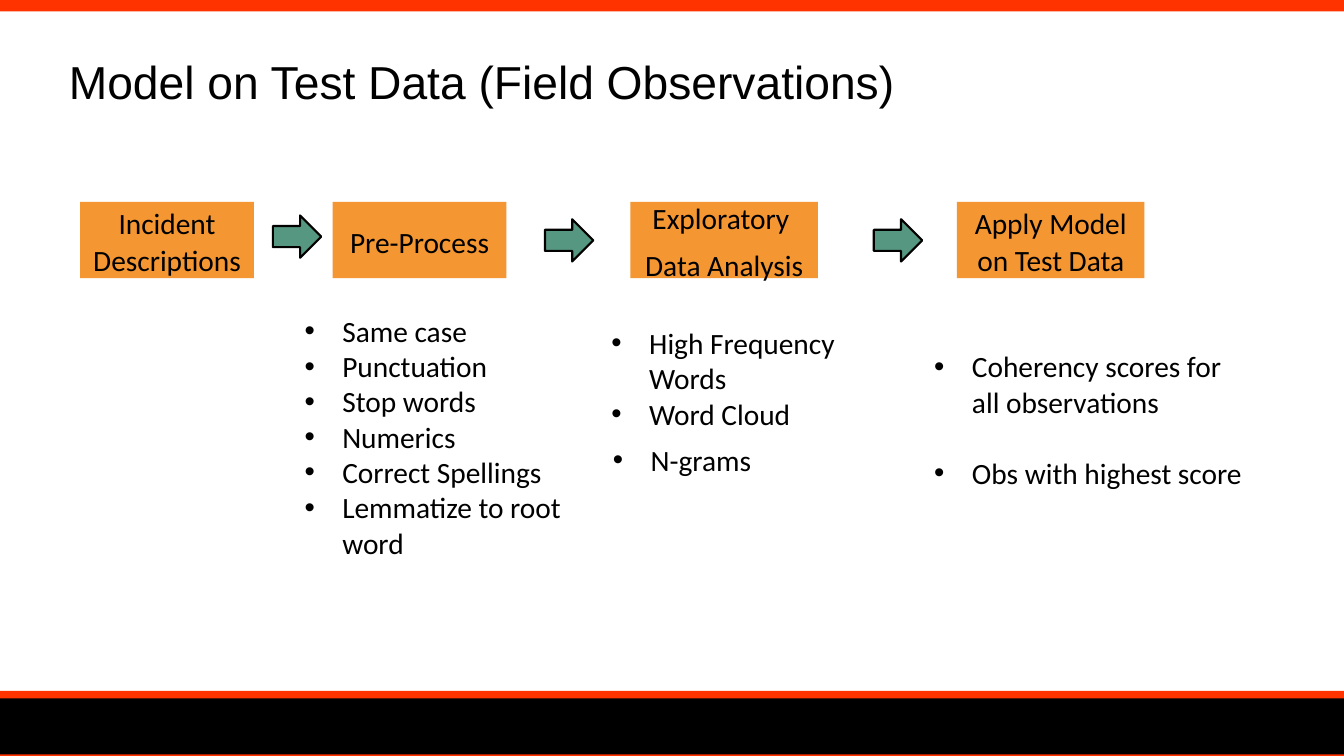
from pptx import Presentation
from pptx.dml.color import RGBColor
from pptx.enum.shapes import MSO_SHAPE
from pptx.enum.text import MSO_ANCHOR, PP_ALIGN
from pptx.oxml import parse_xml
from pptx.oxml.ns import nsdecls
from pptx.util import Inches, Pt

COLORS = {"red": "FF3300", "black": "000000", "orange": "F49632", "green": "569782"}
TITLE = "Model on Test Data (Field Observations)"
BANDS = [  # left, top, width, height, colour
    (0, 0, 17.81, 0.15, "red"),
    (-0.03, 9.22, 17.82, 0.81, "black"),
    (-0.03, 9.14, 17.81, 0.1, "red"),
    (-0.01, 9.98, 17.81, 0.05, "red"),
]
STEPS = [  # left, width, paragraphs
    (1.06, 2.3, ["Incident Descriptions"]),
    (4.4, 2.3, ["Pre-Process"]),
    (8.34, 2.48, ["Exploratory ", "Data Analysis"]),
    (12.66, 2.48, ["Apply Model on Test Data"]),
]
STEP_TOP, STEP_HEIGHT = 2.67, 1.01
ARROWS = [(3.61, 2.85), (7.21, 2.9), (11.56, 2.9)]
ARROW_SIZE = (0.64, 0.56)
LISTS = [  # left, top, width, height, space after in points, items
    (3.93, 4.09, 4.42, 4.34, 0, ["Same case", "Punctuation", "Stop words", "Numerics",
                                 "Correct Spellings", "Lemmatize to root word"]),
    (7.99, 4.25, 3.19, 1.55, 0, ["High Frequency\vWords", "Word Cloud"]),
    (8.01, 5.8, 3.19, 1.99, 0, ["N-grams"]),
    (12.26, 4.56, 4.42, 3.87, 34, ["Coherency scores for all observations",
                                   "Obs with highest score"]),
]
STEP_FORMAT = {"alignment": PP_ALIGN.CENTER, "line_spacing": 1.07, "space_after": Pt(8)}


def color(name):
    """Return the named colour."""
    return RGBColor.from_string(COLORS[name])


def add_block(page, kind, place, fill):
    """Add a filled shape without outline or shadow."""
    shape = page.shapes.add_shape(kind, *map(Inches, place))
    shape.shadow.inherit = False
    shape.fill.solid()
    shape.fill.fore_color.rgb = color(fill)
    shape.line.fill.background()
    return shape


def write(frame, texts, formats, font="Calibri", size=28):
    """Fill a text frame with one formatted paragraph per text."""
    frame.word_wrap = True
    for index, text in enumerate(texts):
        para = frame.add_paragraph() if index else frame.paragraphs[0]
        para.text = text
        for name, value in formats.items():
            setattr(para, name, value)
        for span in para.runs:
            for name, value in {"name": font, "size": Pt(size)}.items():
                setattr(span.font, name, value)
            span.font.color.rgb = color("black")


def add_bullet(para):
    """Give a paragraph a round bullet with a hanging indent."""
    props = para._p.get_or_add_pPr()
    props.set("marL", str(Inches(0.5)))
    props.set("indent", str(Inches(-0.5)))
    props.append(parse_xml(f'<a:buFont {nsdecls("a")} typeface="Arial"/>'))
    props.append(parse_xml(f'<a:buChar {nsdecls("a")} char="•"/>'))


deck = Presentation()
deck.slide_width, deck.slide_height = Inches(17.78), Inches(10)
page = deck.slides.add_slide(deck.slide_layouts[5])

for *place, fill in BANDS:
    add_block(page, MSO_SHAPE.RECTANGLE, place, fill)

title = page.shapes.title
for name, value in zip(("left", "top", "width", "height"), (0.81, 0.65, 16.7, 0.84)):
    setattr(title, name, Inches(value))
title.text_frame.vertical_anchor = MSO_ANCHOR.MIDDLE
write(title.text_frame, [TITLE], {"alignment": PP_ALIGN.LEFT}, "Arial", 44)

for left, width, texts in STEPS:
    box = add_block(page, MSO_SHAPE.RECTANGLE, (left, STEP_TOP, width, STEP_HEIGHT), "orange")
    box.text_frame.vertical_anchor = MSO_ANCHOR.MIDDLE
    write(box.text_frame, texts, STEP_FORMAT)

for spot in ARROWS:
    arrow = add_block(page, MSO_SHAPE.RIGHT_ARROW, spot + ARROW_SIZE, "green")
    arrow.line.color.rgb = color("black")
    arrow.line.width = Pt(2)

for *place, gap, items in LISTS:
    frame = page.shapes.add_textbox(*map(Inches, place)).text_frame
    write(frame, items, {"space_after": Pt(gap)})
    for para in frame.paragraphs:
        add_bullet(para)

deck.save("out.pptx")
